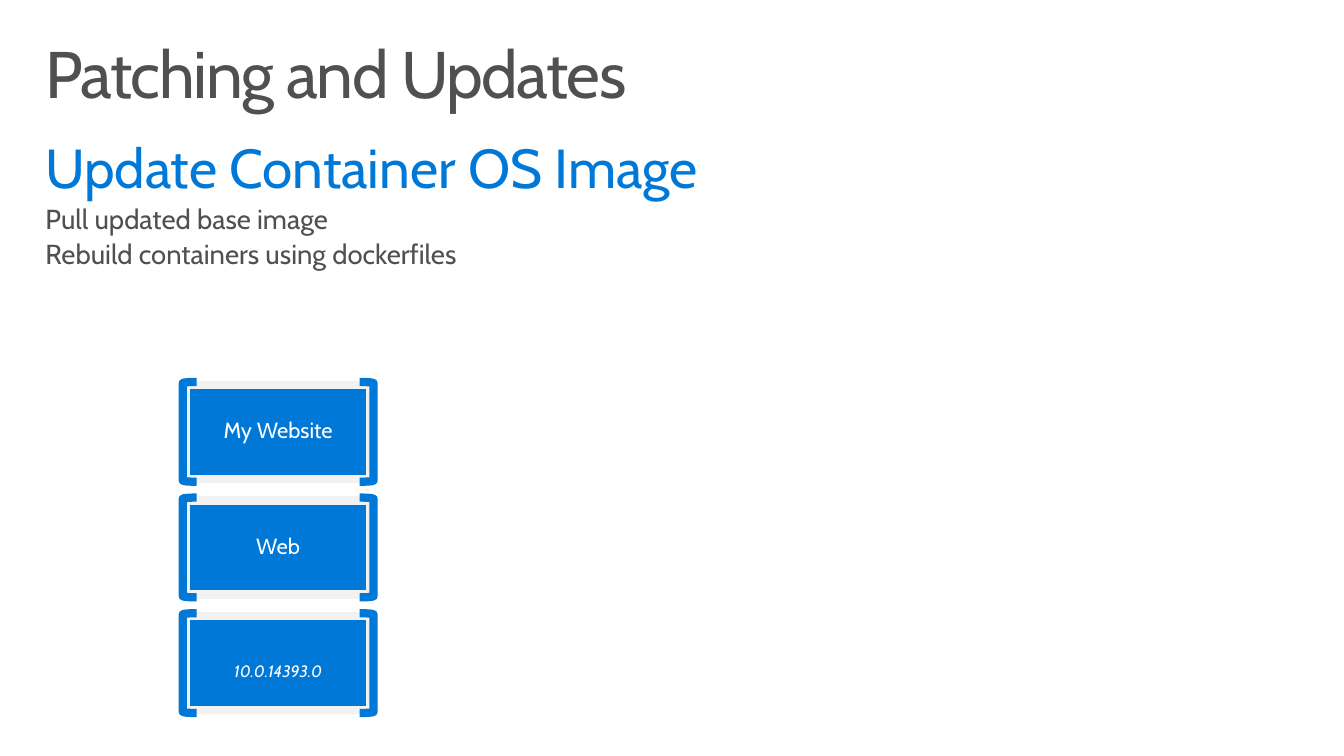
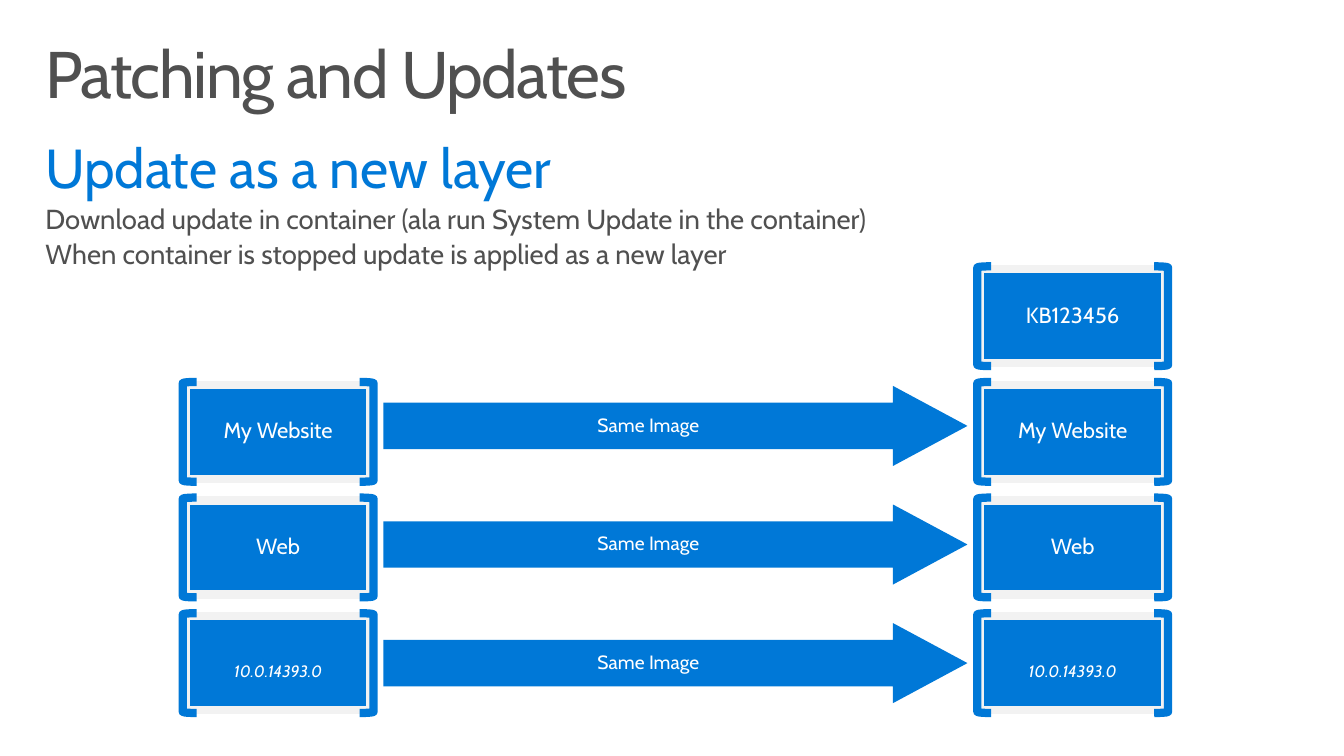
from pptx import Presentation
from pptx import util as u
from pptx.dml.color import RGBColor
from pptx.enum import shapes, text
from pptx.oxml import ns
from lxml import etree

SLIDE_W, SLIDE_H = 13.6, 7.65
COLORS = {"blue": "0078D7", "gray": "505050", "pale": "F2F2F2", "white": "FFFFFF"}
FONT = "Cabin"
MARGIN = 0.3
CONTENT_W = SLIDE_W - 2 * MARGIN
LEFT_STACK, RIGHT_STACK = 1.88, 9.92
LAYER_W, LAYER_H = 1.87, 0.95
BOTTOM_ROW, LAYER_PITCH = 6.71, 1.17
ARROW_X, ARROW_W, ARROW_H, ARROW_PITCH = 3.88, 5.91, 0.81, 1.2
BRACKET_W, BRACKET_H, BRACKET_OUT = 0.14, 1.01, 0.03
BASE_LAYERS = ["10.0.14393.0", "Web", "My Website"]


def place(shape, left, top, width, height):
    """Move a shape to a box given in inches."""
    shape.left, shape.top = u.Inches(left), u.Inches(top)
    shape.width, shape.height = u.Inches(width), u.Inches(height)


def set_insets(frame, left, top, right, bottom):
    """Set the four text insets in inches."""
    frame.margin_left, frame.margin_top = u.Inches(left), u.Inches(top)
    frame.margin_right, frame.margin_bottom = u.Inches(right), u.Inches(bottom)


def style(paragraph, size, color, align, italic=None):
    """Apply the deck's spacing and font to a paragraph and its runs."""
    paragraph.alignment = align
    paragraph.line_spacing = 0.9
    paragraph.space_before = paragraph.space_after = u.Pt(0)
    for run in paragraph.runs:
        run.font.name, run.font.size = FONT, u.Pt(size)
        run.font.italic = italic
        run.font.color.rgb = RGBColor.from_string(COLORS[color])


def add_label(shape, wording, size, italic=None, right=0.2):
    """Write a centred white label in a shape."""
    frame = shape.text_frame
    frame.word_wrap = True
    frame.vertical_anchor = text.MSO_ANCHOR.MIDDLE
    set_insets(frame, 0.2, 0, right, 0)
    frame.text = wording
    style(frame.paragraphs[0], size, "white", text.PP_ALIGN.CENTER, italic)


def add_block(parent, preset, box, fill=None, line=None):
    """Add a flat preset shape with an optional fill and 6 pt outline."""
    block = parent.shapes.add_shape(preset, *map(u.Inches, box))
    block.shadow.inherit = False
    if fill:
        block.fill.solid()
        block.fill.fore_color.rgb = RGBColor.from_string(COLORS[fill])
    else:
        block.fill.background()
    if line:
        block.line.color.rgb = RGBColor.from_string(COLORS[line])
        block.line.width = u.Pt(6)
    else:
        block.line.fill.background()
    return block


def add_layer(stack, left, middle, wording, is_base):
    """Draw one bracketed image layer; the base layer has a small version label."""
    box = (left, middle - LAYER_H / 2, LAYER_W, LAYER_H)
    layer = add_block(stack, shapes.MSO_SHAPE.RECTANGLE, box, "blue", "pale")
    right = left + LAYER_W + BRACKET_OUT - BRACKET_W
    for preset, x in ((shapes.MSO_SHAPE.RIGHT_BRACKET, right),
                      (shapes.MSO_SHAPE.LEFT_BRACKET, left - BRACKET_OUT)):
        add_block(stack, preset, (x, middle - BRACKET_H / 2, BRACKET_W, BRACKET_H), line="blue")
    if is_base:
        version_box = (left, middle - 0.12, LAYER_W, 0.43)
        version = stack.shapes.add_textbox(*map(u.Inches, version_box))
        add_label(version, wording, 12, italic=True)
    else:
        add_label(layer, wording, 16)


def add_stack(slide, left, layers):
    """Pile layers upwards from the bottom row."""
    stack = slide.shapes.add_group_shape()
    for row, wording in enumerate(layers):
        add_layer(stack, left, BOTTOM_ROW - row * LAYER_PITCH, wording, row == 0)


def add_same_image_arrows(slide):
    """Link each base layer of the left stack to its twin on the right."""
    for row in range(len(BASE_LAYERS)):
        top = BOTTOM_ROW - row * ARROW_PITCH - ARROW_H / 2
        arrow = add_block(slide, shapes.MSO_SHAPE.RIGHT_ARROW,
                          (ARROW_X, top, ARROW_W, ARROW_H), "blue")
        arrow.adjustments[0], arrow.adjustments[1] = 0.58, 0.93
        add_label(arrow, "Same Image", 14, right=0.31)


def add_heading(slide, topic, steps):
    """Fill the title and the body with a topic and its steps."""
    title, body = slide.shapes.title, slide.placeholders[1]
    place(title, MARGIN, 0.32, CONTENT_W, 1)
    place(body, MARGIN, 1.33, CONTENT_W, 1.55)
    title.text_frame.text = "Patching and Updates"
    body.text_frame.text = "\n".join([topic] + steps)
    for holder in (title, body):
        frame = holder.text_frame
        frame.word_wrap = True
        frame.auto_size = text.MSO_AUTO_SIZE.NONE
        frame.vertical_anchor = text.MSO_ANCHOR.TOP
        set_insets(frame, 0.16, 0.1, 0.16, 0.1)
    heading = title.text_frame.paragraphs[0]
    style(heading, 48, "gray", text.PP_ALIGN.LEFT)
    heading.runs[0].font._element.set("spc", "-100")
    for number, paragraph in enumerate(body.text_frame.paragraphs):
        properties = paragraph._p.get_or_add_pPr()
        properties.set("marL", "0")
        properties.set("indent", "0")
        etree.SubElement(properties, ns.qn("a:buNone"))
        size, color = (20, "gray") if number else (40, "blue")
        style(paragraph, size, color, text.PP_ALIGN.LEFT)
        if number:
            paragraph.level = 1
            paragraph.space_before = u.Pt(4)


def add_update_slide(deck, topic, steps):
    """Add a slide with the heading and the running container's stack."""
    slide = deck.slides.add_slide(deck.slide_layouts[1])
    add_heading(slide, topic, steps)
    add_stack(slide, LEFT_STACK, BASE_LAYERS)
    return slide


def main():
    """Build and save the deck."""
    deck = Presentation()
    deck.slide_width, deck.slide_height = u.Inches(SLIDE_W), u.Inches(SLIDE_H)
    add_update_slide(deck, "Update Container OS Image",
                     ["Pull updated base image", "Rebuild containers using dockerfiles"])
    new_layer = add_update_slide(
        deck, "Update as a new layer",
        ["Download update in container (ala run System Update in the container)",
         "When container is stopped update is applied as a new layer"])
    add_stack(new_layer, RIGHT_STACK, BASE_LAYERS + ["KB123456"])
    add_same_image_arrows(new_layer)
    deck.save("out.pptx")


if __name__ == "__main__":
    main()
